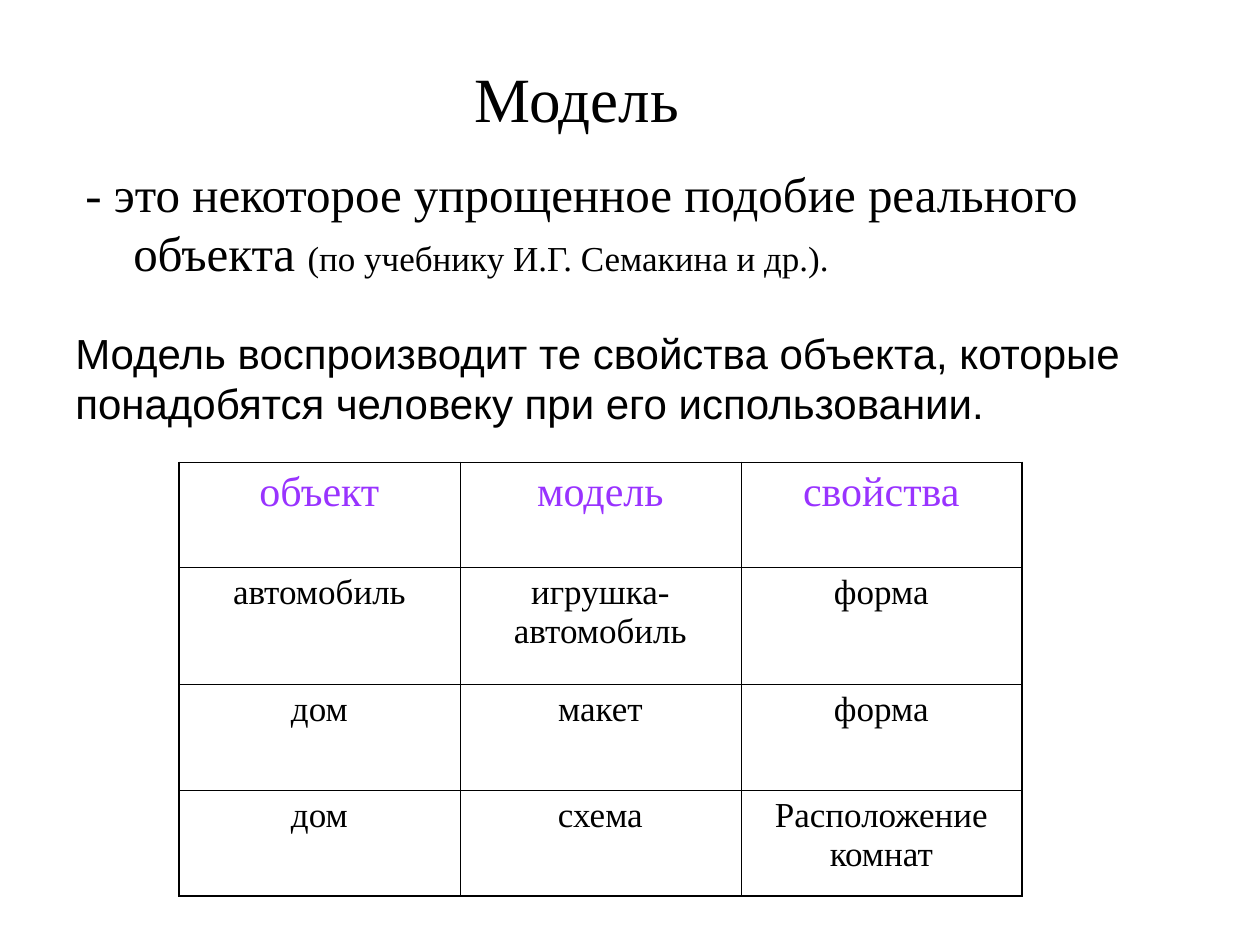
"""Build a slide that defines a model and lists examples in a table."""
from lxml import etree
from pptx import Presentation
from pptx import util as u
from pptx.dml.color import RGBColor
from pptx.enum import text
from pptx.oxml.ns import qn

COLORS = {"ink": "000000", "accent": "9933FF"}
SERIF, SANS = "Times New Roman", "Arial"
ROWS = [
    ("объект", "модель", "свойства"),
    ("автомобиль", "игрушка-автомобиль", "форма"),
    ("дом", "макет", "форма"),
    ("дом", "схема", "Расположение комнат"),
]
ROW_HEIGHTS = [0.83, 0.93, 0.84, 0.84]
COL_WIDTH = 2.23
OUTER, INNER = 1.08, 0.45


def add_run(p, content, size=20, font=SERIF, color="ink"):
    r = p.add_run()
    r.text = content
    r.font.size = u.Pt(size)
    r.font.name = font
    r.font.color.rgb = RGBColor.from_string(COLORS[color])


def add_box(s, left, top, width, height, anchor=text.MSO_ANCHOR.TOP):
    tf = s.shapes.add_textbox(*map(u.Inches, (left, top, width, height))).text_frame
    tf.word_wrap = True
    tf.vertical_anchor = anchor
    return tf.paragraphs[0]


def set_border(cell, side, width):
    ln = etree.SubElement(cell._tc.get_or_add_tcPr(), qn(f"a:ln{side}"), w=str(u.Pt(width)))
    fill = etree.SubElement(ln, qn("a:solidFill"))
    etree.SubElement(fill, qn("a:srgbClr"), val=COLORS["ink"])


def add_examples(s, left, top):
    n_rows, n_cols = len(ROWS), len(ROWS[0])
    size = (left, top, COL_WIDTH * n_cols, sum(ROW_HEIGHTS))
    table = s.shapes.add_table(n_rows, n_cols, *map(u.Inches, size)).table
    table.first_row = table.horz_banding = False
    for column in table.columns:
        column.width = u.Inches(COL_WIDTH)
    for i, (row, height) in enumerate(zip(ROWS, ROW_HEIGHTS)):
        table.rows[i].height = u.Inches(height)
        for j, content in enumerate(row):
            cell = table.cell(i, j)
            edges = {"L": j == 0, "R": j == n_cols - 1, "T": i == 0, "B": i == n_rows - 1}
            for side, is_outer in edges.items():
                set_border(cell, side, OUTER if is_outer else INNER)
            cell.fill.background()
            p = cell.text_frame.paragraphs[0]
            p.alignment = text.PP_ALIGN.CENTER
            if i == 0:
                add_run(p, content, size=24, color="accent")
            else:
                add_run(p, content)


def main():
    prs = Presentation()
    prs.slide_width, prs.slide_height = u.Inches(10), u.Inches(7.5)
    s = prs.slides.add_slide(prs.slide_layouts[6])

    p = add_box(s, 0.58, 1.25, 8.5, 1.26)
    indent = u.Inches(0.38)
    p._p.get_or_add_pPr().set("marL", str(indent))
    p._p.get_or_add_pPr().set("indent", str(-indent))
    add_run(p, "- это некоторое упрощенное подобие реального объекта ", size=28)
    add_run(p, "(по учебнику И.Г. Семакина и др.).")

    p = add_box(s, 0.5, 2.55, 9, 0.9, anchor=text.MSO_ANCHOR.MIDDLE)
    add_run(p, "Модель воспроизводит те свойства объекта, которые понадобятся "
            "человеку при его использовании.", size=24, font=SANS)

    add_examples(s, 1.42, 3.67)
    add_run(add_box(s, 3.67, 0.42, 2.17, 0.7), "Модель", size=36)
    prs.save("out.pptx")


if __name__ == "__main__":
    main()
